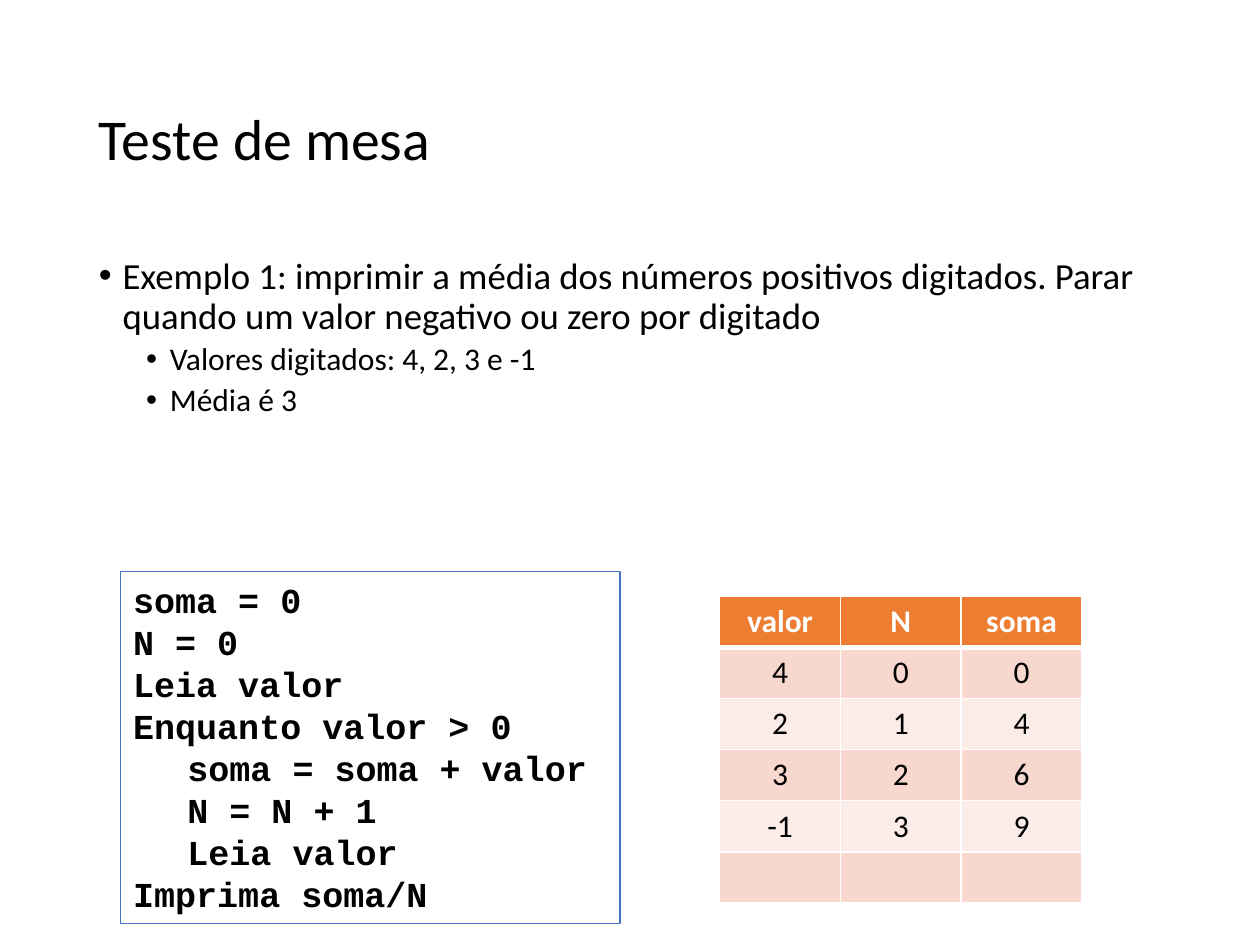
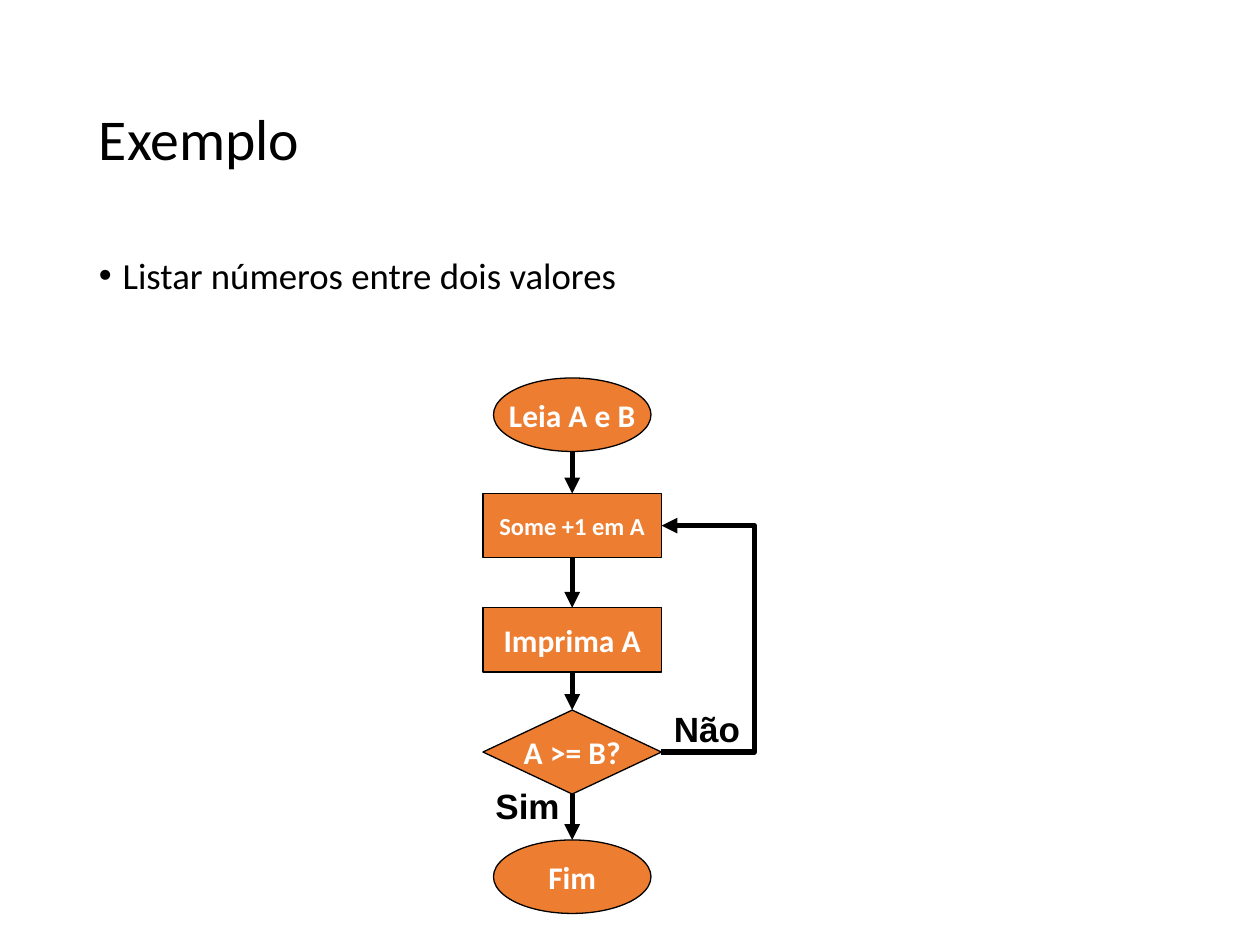
from dataclasses import dataclass

from lxml import etree
from pptx import Presentation
from pptx.dml.color import RGBColor
from pptx.enum.shapes import MSO_CONNECTOR, MSO_SHAPE
from pptx.enum.text import MSO_ANCHOR, PP_ALIGN
from pptx.oxml.ns import qn
from pptx.util import Pt

CENTER, LEFT = PP_ALIGN.CENTER, PP_ALIGN.LEFT
MIDDLE, TOP = MSO_ANCHOR.MIDDLE, MSO_ANCHOR.TOP
STRAIGHT, ELBOW = MSO_CONNECTOR.STRAIGHT, MSO_CONNECTOR.ELBOW
RECTANGLE, OVAL = MSO_SHAPE.RECTANGLE, MSO_SHAPE.OVAL
DECISION = MSO_SHAPE.FLOWCHART_DECISION


@dataclass(frozen=True)
class Theme:
    black = RGBColor(0x00, 0x00, 0x00)
    white = RGBColor(0xFF, 0xFF, 0xFF)
    orange = RGBColor(0xED, 0x7D, 0x31)
    blue = RGBColor(0x44, 0x72, 0xC4)
    bands = (RGBColor(0xF8, 0xD7, 0xCE), RGBColor(0xFC, 0xEC, 0xE8))
    body_font, label_font, code_font = "Calibri", "Arial", "Courier New"
    title_size, point_sizes = 33, (21, 18)
    code_size, label_size, table_size = 20, 20, 18


theme = Theme()


def write(para, text, size, color=theme.black, bold=False, align=LEFT, font=theme.body_font):
    para.text = text
    para.alignment = align
    para.font.name = font
    para.font.size = Pt(size)
    para.font.bold = bold
    para.font.color.rgb = color


def add_arrow(page, kind, start, end):
    """Draw a thick black connector with a triangle at its end."""
    arrow = page.shapes.add_connector(kind, *map(Pt, start + end))
    arrow.line.color.rgb = theme.black
    arrow.line.width = Pt(3)
    etree.SubElement(arrow.line._get_or_add_ln(), qn("a:tailEnd"), type="triangle")
    etree.SubElement(arrow._element.spPr, qn("a:effectLst"))
    return arrow


deck = Presentation()
deck.slide_width, deck.slide_height = Pt(720), Pt(540)

# Titles and bullet points: (level, text)
outlines = [
    ("Teste de mesa", [
        (0, "Exemplo 1: imprimir a média dos números positivos digitados. "
            "Parar quando um valor negativo ou zero por digitado"),
        (1, "Valores digitados: 4, 2, 3 e -1"),
        (1, "Média é 3"),
    ]),
    ("Exemplo", [(0, "Listar números entre dois valores")]),
]
for title, points in outlines:
    page = deck.slides.add_slide(deck.slide_layouts[6])
    title_box = page.shapes.add_textbox(Pt(49.5), Pt(28.75), Pt(621), Pt(104.4))
    title_box.text_frame.word_wrap = True
    title_box.text_frame.vertical_anchor = MIDDLE
    title_para = title_box.text_frame.paragraphs[0]
    write(title_para, title, theme.title_size)
    title_para.line_spacing = 0.9

    body = page.shapes.add_textbox(Pt(49.5), Pt(143.75), Pt(621), Pt(342.6)).text_frame
    body.word_wrap = True
    for index, (level, text) in enumerate(points):
        para = body.add_paragraph() if index else body.paragraphs[0]
        write(para, text, theme.point_sizes[level])
        para.level = level
        para.line_spacing = 0.9
        para.space_before = Pt((7.5, 3.75)[level])
        properties = para._p.get_or_add_pPr()
        properties.set("marL", str(Pt(13.5 + 27 * level)))
        properties.set("indent", str(Pt(-13.5)))
        bullet = etree.Element(qn("a:buChar"), char="•")
        properties.find(qn("a:spcBef")).addnext(bullet)
        bullet.addprevious(etree.Element(qn("a:buFont"), typeface="Arial"))

desk_check, flowchart = deck.slides

# Trace table
trace = [
    ("valor", "N", "soma"),
    ("4", "0", "0"),
    ("2", "1", "4"),
    ("3", "2", "6"),
    ("-1", "3", "9"),
    ("", "", ""),
]
table = desk_check.shapes.add_table(
    len(trace), 3, Pt(411.25), Pt(340.75), Pt(207), Pt(175.2)).table
for column in table.columns:
    column.width = Pt(69)
for row_index, values in enumerate(trace):
    table.rows[row_index].height = Pt(29.2)
    header = row_index == 0
    widths = {"L": 1, "R": 1, "T": 3 if row_index == 1 else 1, "B": 3 if header else 1}
    for column_index, value in enumerate(values):
        cell = table.cell(row_index, column_index)
        write(cell.text_frame.paragraphs[0], value, theme.table_size,
              theme.white if header else theme.black, header, CENTER)
        cell.fill.solid()
        cell.fill.fore_color.rgb = theme.orange if header else theme.bands[(row_index - 1) % 2]
        cell_properties = cell._tc.get_or_add_tcPr()
        for position, (side, width) in enumerate(widths.items()):
            border = etree.Element(qn(f"a:ln{side}"), w=str(Pt(width)))
            border_fill = etree.SubElement(border, qn("a:solidFill"))
            etree.SubElement(border_fill, qn("a:srgbClr"), val=str(theme.white))
            cell_properties.insert(position, border)

# Pseudocode: (level, line)
code_lines = [
    (0, "soma = 0"),
    (0, "N = 0"),
    (0, "Leia valor"),
    (0, "Enquanto valor > 0"),
    (1, "soma = soma + valor"),
    (1, "N = N + 1"),
    (1, "Leia valor"),
    (0, "Imprima soma/N"),
]
code_box = desk_check.shapes.add_shape(RECTANGLE, Pt(69), Pt(326.75), Pt(285.25), Pt(201))
code_box.shadow.inherit = False
code_box.fill.background()
code_box.line.color.rgb = theme.blue
code_box.line.width = Pt(0.75)
code = code_box.text_frame
code.word_wrap = True
code.vertical_anchor = TOP
for index, (level, text) in enumerate(code_lines):
    para = code.add_paragraph() if index else code.paragraphs[0]
    write(para, text, theme.code_size, bold=True, font=theme.code_font)
    para.level = level
    para._p.get_or_add_pPr().set("marL", str(Pt(31 * level)))
    para._p.get_or_add_pPr().set("indent", "0")

# Flowchart steps: (shape, text, text size, top, width, height)
axis = 327
steps = [
    (OVAL, "Leia A e B", 18, 216, 90, 42),
    (RECTANGLE, "Some +1 em A", 14, 282, 102, 36.75),
    (RECTANGLE, "Imprima A", 18, 347.25, 102, 36.75),
    (DECISION, "A >= B?", 18, 405.75, 102, 48),
    (OVAL, "Fim", 18, 480, 90, 42),
]
for kind, text, size, top, width, height in steps:
    step = flowchart.shapes.add_shape(
        kind, Pt(axis - width / 2), Pt(top), Pt(width), Pt(height))
    step.shadow.inherit = False
    step.fill.solid()
    step.fill.fore_color.rgb = theme.orange
    step.line.color.rgb = theme.black
    step.line.width = Pt(0.75)
    step.text_frame.word_wrap = False
    step.text_frame.vertical_anchor = MIDDLE
    write(step.text_frame.paragraphs[0], text, size, theme.white, True, CENTER)

for upper, lower in zip(steps, steps[1:]):
    add_arrow(flowchart, STRAIGHT, (axis, upper[3] + upper[5]), (axis, lower[3]))

for text, left, top in [("Sim", 276, 444.5), ("Não", 378, 401)]:
    label = flowchart.shapes.add_textbox(Pt(left), Pt(top), Pt(120), Pt(31))
    label.text_frame.word_wrap = True
    write(label.text_frame.paragraphs[0], text, theme.label_size,
          bold=True, font=theme.label_font)

# The loop leaves the decision, runs far right of its end, and comes back
loop_left, loop_span, loop_reach = 378, 0.12, 56.25
loop = add_arrow(flowchart, ELBOW, (loop_left, 429.75), (loop_left + loop_span, 300.4))
adjustments = loop._element.spPr.find(qn("a:prstGeom")).get_or_add_avLst()
etree.SubElement(adjustments, qn("a:gd"), name="adj1",
                 fmla=f"val {round(loop_reach / loop_span * 100000)}")

deck.save("out.pptx")
